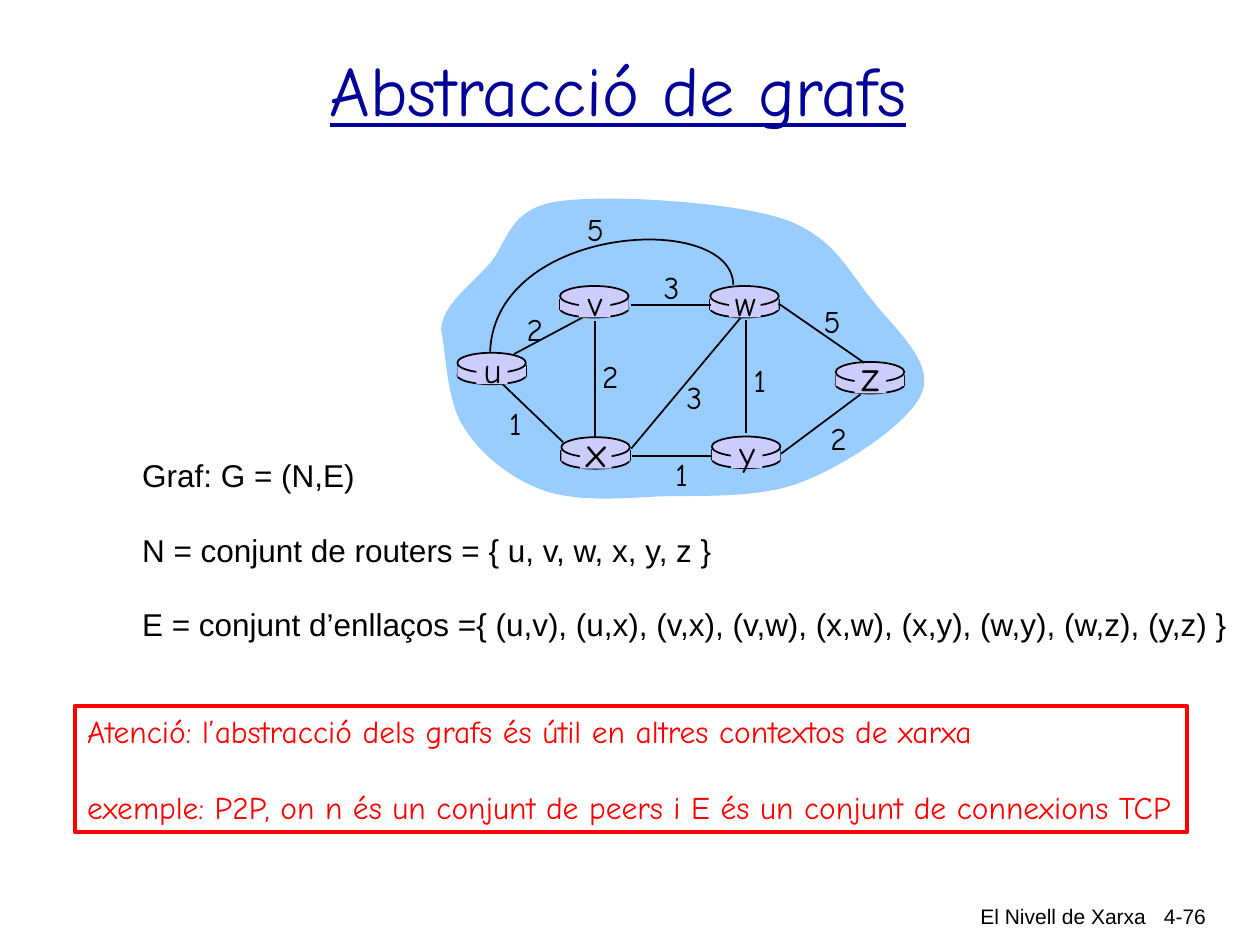
from dataclasses import dataclass
from typing import NamedTuple

from lxml.etree import SubElement
from pptx import Presentation
from pptx.dml.color import RGBColor as RGB
from pptx.enum.shapes import MSO_CONNECTOR as CONN, MSO_SHAPE as SHAPE
from pptx.enum.text import MSO_ANCHOR as ANCHOR, MSO_AUTO_SIZE as FIT, PP_ALIGN as ALIGN
from pptx.oxml.ns import qn
from pptx.util import Emu, Inches, Pt


@dataclass(frozen=True)
class Theme:
    ink: RGB = RGB(0, 0, 0)
    title: RGB = RGB(0x00, 0x00, 0x99)
    alert: RGB = RGB(0xFF, 0x00, 0x00)
    cloud: RGB = RGB(0x99, 0xCC, 0xFF)
    router: RGB = RGB(0xCC, 0xCC, 0xFF)
    plain: str = "Arial"
    comic: str = "Comic Neue"
    title_size: int = 40
    body_size: int = 18
    footer_size: int = 12


class Point(NamedTuple):
    col: float
    row: float


class Box(NamedTuple):
    col: float
    row: float
    cols: float
    rows: float


@dataclass(frozen=True)
class Router:
    name: str
    at: Point
    size: int = 20


@dataclass(frozen=True)
class Link:
    start: Point
    end: Point
    weight: str
    label: Point


T = Theme()
COLS = 100  # the slide as a grid of 100 by 75 square cells

prs = Presentation()
prs.slide_width, prs.slide_height = Inches(10), Inches(7.5)
CELL = prs.slide_width / COLS
slide = prs.slides.add_slide(prs.slide_layouts[5])
shapes = slide.shapes


def emu(*cells: float) -> list[Emu]:
    return [Emu(round(c * CELL)) for c in cells]


def write(sp, lines: list[str], size: int, font: str, color: RGB, align=ALIGN.LEFT,
          anchor=ANCHOR.TOP, wrap: bool = True, gap: float = 0) -> None:
    tf = sp.text_frame
    tf.text = "\n".join(lines)
    tf.word_wrap, tf.auto_size, tf.vertical_anchor = wrap, FIT.NONE, anchor
    for i, p in enumerate(tf.paragraphs):
        p.alignment = align
        p.space_before = Pt(gap if i else 0)
        for r in p.runs:
            r.font.size, r.font.name = Pt(size), font
            r.font.color.rgb = color


def add_label(text: str, center: Point, size: int) -> None:
    w, h = 3.4, 4.4
    sp = shapes.add_textbox(*emu(center.col - w / 2, center.row - h / 2, w, h))
    write(sp, [text], size, T.comic, T.ink, ALIGN.CENTER, ANCHOR.MIDDLE, wrap=False)


def add_solid(kind, box: Box, outlined: bool = False) -> None:
    sp = shapes.add_shape(kind, *emu(*box))
    sp.shadow.inherit = False
    sp.fill.solid()
    sp.fill.fore_color.rgb = T.router
    if outlined:
        sp.line.color.rgb, sp.line.width = T.ink, Pt(1)
    else:
        sp.line.fill.background()


def add_line(start: Point, end: Point) -> None:
    sp = shapes.add_connector(CONN.STRAIGHT, *emu(*start, *end))
    sp.line.color.rgb, sp.line.width = T.ink, Pt(1)
    SubElement(sp._element.spPr, qn("a:effectLst"))


def add_curve(start: Point, segments: list[tuple], closed: bool):
    """Draw cubic Bézier segments, each given as two control points and an end."""
    builder = shapes.build_freeform(*emu(*start))
    builder.add_line_segments([emu(*pt) for seg in segments for pt in seg], close=closed)
    sp = builder.convert_to_shape()
    sp.shadow.inherit = False
    # Turn every three straight steps into one curve
    steps = list(sp._element.iter(qn("a:lnTo")))
    for i in range(0, len(steps), 3):
        curve = steps[i].makeelement(qn("a:cubicBezTo"))
        steps[i].addprevious(curve)
        for step in steps[i:i + 3]:
            curve.append(step[0])
            step.getparent().remove(step)
    return sp


def add_router(router: Router) -> None:
    x, y = router.at
    w = 5.44
    add_solid(SHAPE.OVAL, Box(x, y + 1.1, w, 1.4), outlined=True)
    for side in (x, x + w):
        add_line(Point(side, y + 1), Point(side, y + 1.9))
    add_solid(SHAPE.RECTANGLE, Box(x, y + 1, w, 0.9))
    add_solid(SHAPE.OVAL, Box(x, y, w, 1.6), outlined=True)


def add_name(router: Router) -> None:
    x, y = router.at
    add_solid(SHAPE.RECTANGLE, Box(x + 1.5, y + 0.2, 2.5, 2.3))
    add_label(router.name, Point(x + 2.8, y + (1.3 if router.size == 20 else 1.05)), router.size)


# Footer
for text, box in (("El Nivell de Xarxa", Box(60.25, 71.2, 31.7, 4.1)),
                  ("4-76", Box(89.3, 71.2, 7.4, 3.8))):
    write(shapes.add_textbox(*emu(*box)), [text], T.footer_size, T.plain, T.ink, ALIGN.RIGHT)

# Network cloud
cloud = add_curve(Point(35, 26.2), [
    ((35.1, 24.2), (37.3, 22.7), (38.8, 21)),
    ((40.3, 19.3), (40.3, 16.6), (44.2, 16)),
    ((48, 15.4), (57.8, 16), (61.9, 17.3)),
    ((66.1, 18.6), (67.3, 21.5), (69.2, 23.8)),
    ((71, 26.1), (74.1, 28.7), (73.2, 31.1)),
    ((72.3, 33.5), (67.3, 36.8), (63.8, 38.2)),
    ((60.3, 39.6), (55.7, 39.3), (52.2, 39.4)),
    ((48.8, 39.6), (45.6, 39.8), (43.1, 38.9)),
    ((40.5, 38), (38.1, 36), (36.8, 33.9)),
    ((35.4, 31.8), (35.4, 27.8), (35, 26.2)),
], closed=True)
cloud.fill.solid()
cloud.fill.fore_color.rgb = T.cloud
cloud.line.fill.background()

# Routers, with the first link behind them and the others in front
routers = [
    Router("u", Point(36.3, 28)), Router("x", Point(44.55, 34.7), 24),
    Router("v", Point(44.45, 22.7)), Router("w", Point(56.37, 22.7)),
    Router("y", Point(56.5, 34.65)), Router("z", Point(66.33, 28.73), 24),
]
links = [
    Link(Point(40.8, 28.1), Point(46.8, 24.9), "2", Point(42.45, 26.1)),
    Link(Point(59.2, 25.4), Point(59.2, 34.4), "1", Point(60.3, 30.15)),
    Link(Point(47.2, 25.5), Point(47.2, 34.8), "2", Point(48.45, 29.85)),
    Link(Point(50.1, 35.6), Point(58.8, 25.2), "3", Point(55.1, 31.5)),
    Link(Point(62, 36), Point(68.3, 31.3), "2", Point(66.55, 34.75)),
    Link(Point(56.5, 36.2), Point(50.2, 36.2), "1", Point(54.1, 37.6)),
    Link(Point(44.7, 35.1), Point(39.9, 30.5), "1", Point(40.9, 33.6)),
    Link(Point(56.4, 24.2), Point(50.1, 24.2), "3", Point(53.3, 22.8)),
    Link(Point(68.6, 28.8), Point(61.8, 24.1), "5", Point(66.05, 25.45)),
]
add_line(links[0].start, links[0].end)
for router in routers:
    add_router(router)
for link in links[1:]:
    add_line(link.start, link.end)
arc = add_curve(Point(58.2, 22.6), [((58.1, 16.7), (39.3, 17.8), (38.9, 27.9))], closed=False)
arc.fill.background()
arc.line.color.rgb, arc.line.width = T.ink, Pt(1)

# Router names and link weights
for router in routers:
    add_name(router)
for link in links:
    add_label(link.weight, link.label, T.body_size)
add_label("5", Point(47.25, 18.2), T.body_size)

# Definitions
write(shapes.add_textbox(*emu(10.3, 35.7, 89.4, 16)), [
    "Graf: G = (N,E)",
    "N = conjunt de routers = { u, v, w, x, y, z }",
    "E = conjunt d’enllaços ={ (u,v), (u,x), (v,x), (v,w), (x,w), (x,y), (w,y), (w,z), (y,z) }",
], T.body_size, T.plain, T.ink, gap=21.1)

# Title
title = shapes.title
title.left, title.top, title.width, title.height = emu(5.85, 2.5, 86.4, 9)
write(title, ["Abstracció de grafs"], T.title_size, T.comic, T.title, ALIGN.CENTER, ANCHOR.MIDDLE)
title.text_frame.paragraphs[0].runs[0].font.underline = True

# Remark
remark = shapes.add_shape(SHAPE.RECTANGLE, *emu(5.94, 56.03, 88.3, 10))
remark.shadow.inherit = False
remark.fill.background()
remark.line.color.rgb, remark.line.width = T.alert, Pt(2.25)
write(remark, [
    "Atenció: l’abstracció dels grafs és útil en altres contextos de xarxa",
    "exemple: P2P, on n és un conjunt de peers i E és un conjunt de connexions TCP",
], T.body_size, T.comic, T.alert, wrap=False, gap=22)

prs.save("out.pptx")
